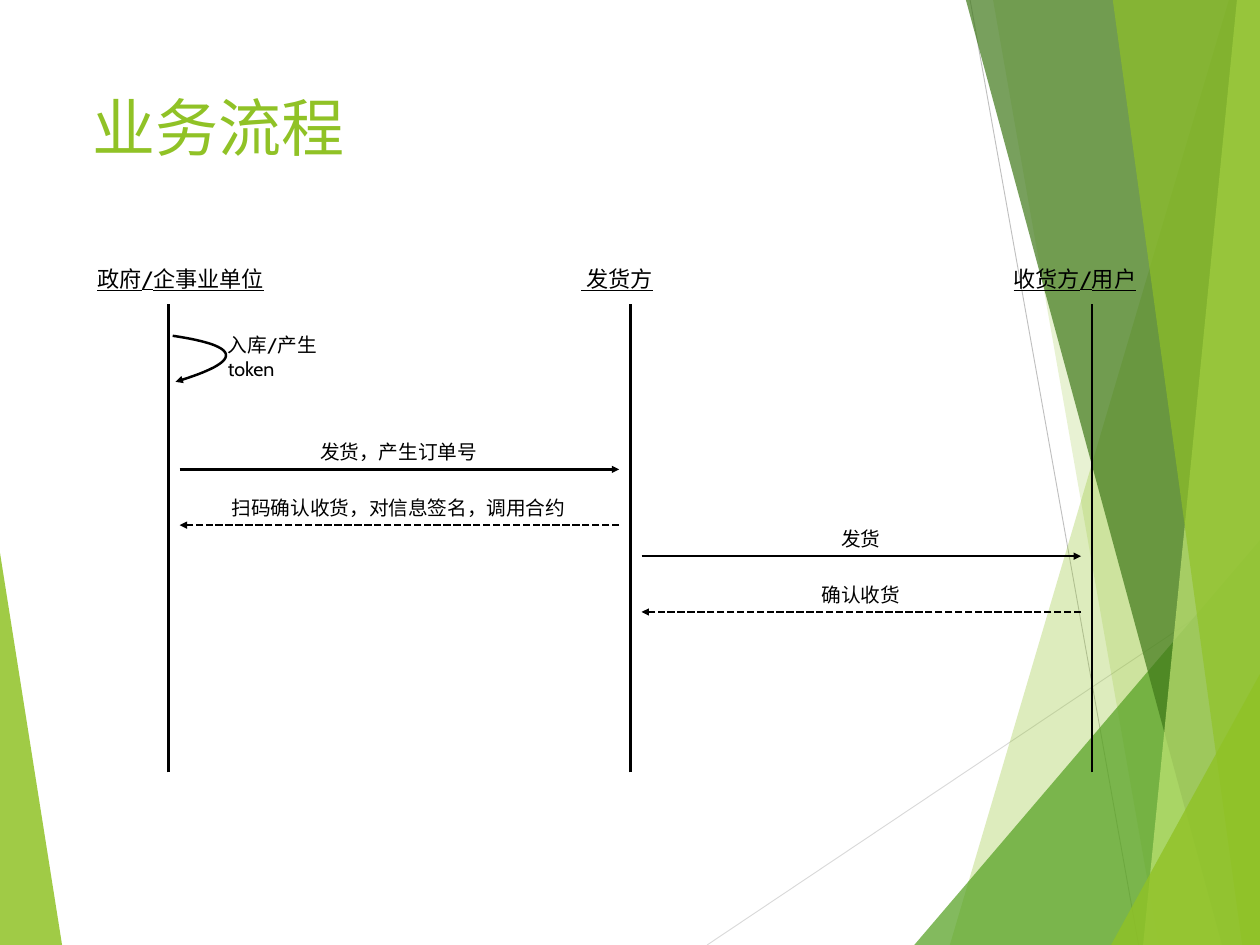
from dataclasses import dataclass

import lxml.etree
import pptx
import pptx.dml.color
import pptx.enum.dml
import pptx.enum.shapes
import pptx.enum.text
import pptx.oxml.ns
import pptx.util
from pptx.util import Cm

FONT = "Cabin"
BLACK = "000000"
LIME = "90C226"
WIDTH, HEIGHT = 36.12, 27.1
LIFELINE_LEFT, LIFELINE_PITCH = 4.83, 13.24
LIFELINE_TOP, LIFELINE_BOTTOM = 8.71, 22.15
MESSAGE_GAP = 0.32
LABEL_HEIGHT = 1.02

Point = tuple[float, float]


@dataclass
class Facet:
    points: list[Point]
    color: str
    opacity: int


@dataclass
class Participant:
    name: str
    left: float
    width: float
    wrap: bool = False


@dataclass
class Message:
    text: str
    sender: int
    receiver: int
    y: float
    label_width: float


def right_band(top: float, bottom: float) -> list[Point]:
    """Outline from a slanted left edge to the right side of the slide."""
    return [(top, 0), (bottom, HEIGHT), (WIDTH, HEIGHT), (WIDTH, 0)]


def right_corner(bottom: float, right: float) -> list[Point]:
    """Triangle in the lower right corner of the slide."""
    return [(bottom, HEIGHT), (WIDTH, right), (WIDTH, HEIGHT)]


FACETS = [
    Facet([(0, 15.85), (1.78, HEIGHT), (0, HEIGHT)], LIME, 85),
    Facet(right_band(35.23, 27.23), LIME, 30),
    Facet(right_band(28.47, 33.22), LIME, 20),
    Facet(right_corner(26.21, 15.49), "54A021", 72),
    Facet(right_band(27.69, 35.03), "3F7819", 70),
    Facet(right_band(35.46, 32.77), "C0E474", 70),
    Facet(right_band(31.9, 35.61), LIME, 65),
    Facet(right_corner(31.85, 19.33), LIME, 80),
]
PARTICIPANTS = [
    Participant("政府/企事业单位", 2.64, 6.65, True),
    Participant(" 发货方", 16.51, 3.07),
    Participant("收货方/用户", 28.91, 4.8),
]
MESSAGES = [
    Message("发货，产生订单号", 0, 1, 13.46, 4.85),
    Message("扫码确认收货，对信息签名，调用合约", 1, 0, 15.06, 9.91),
    Message("发货", 1, 2, 15.95, 1.45),
    Message("确认收货", 2, 1, 17.55, 2.57),
]
STORAGE_CURVE = [(4.95, 9.63), (6.96, 9.93), (6.99, 10.36), (5.03, 10.95)]


def rgb(color: str) -> pptx.dml.color.RGBColor:
    return pptx.dml.color.RGBColor.from_string(color)


def add_child(parent, tag: str, **attributes: str) -> None:
    lxml.etree.SubElement(parent, pptx.oxml.ns.qn(tag), attributes)


def add_arrowhead(shape) -> None:
    add_child(shape.get_or_add_ln(), "a:tailEnd", type="triangle")


def add_outline(slide, points: list[Point], close: bool):
    start, *others = [(Cm(x), Cm(y)) for x, y in points]
    builder = slide.shapes.build_freeform(*start)
    builder.add_line_segments(others, close=close)
    shape = builder.convert_to_shape()
    shape.shadow.inherit = False
    return shape


def add_facet(slide, facet: Facet) -> None:
    shape = add_outline(slide, facet.points, True)
    shape.line.fill.background()
    shape.fill.solid()
    shape.fill.fore_color.rgb = rgb(facet.color)
    color = next(shape.element.spPr.iter(pptx.oxml.ns.qn("a:srgbClr")))
    add_child(color, "a:alpha", val=str(facet.opacity * 1000))


def add_line(slide, start: Point, end: Point, color: str = BLACK,
             weight: float = 2, dashed: bool = False, arrow: bool = False) -> None:
    connector = slide.shapes.add_connector(
        pptx.enum.shapes.MSO_CONNECTOR.STRAIGHT,
        *(Cm(value) for value in (*start, *end)))
    connector.line.color.rgb = rgb(color)
    connector.line.width = pptx.util.Pt(weight)
    if dashed:
        connector.line.dash_style = pptx.enum.dml.MSO_LINE.SQUARE_DOT
    if arrow:
        add_arrowhead(connector)
    add_child(connector.element.spPr, "a:effectLst")


def add_label(slide, text: str, left: float, top: float, width: float,
              height: float, size: float = 16, wrap: bool = False,
              underline: bool = False) -> None:
    box = slide.shapes.add_textbox(Cm(left), Cm(top), Cm(width), Cm(height))
    frame = box.text_frame
    frame.word_wrap = wrap
    frame.vertical_anchor = pptx.enum.text.MSO_ANCHOR.MIDDLE
    frame.margin_left = frame.margin_right = Cm(0.15)
    frame.margin_top = frame.margin_bottom = Cm(0.15)
    frame.text = text
    font = frame.paragraphs[0].font
    font.name = FONT
    font.size = pptx.util.Pt(size)
    font.color.rgb = rgb(BLACK)
    if underline:
        font.underline = True


def lifeline_x(index: int) -> float:
    return LIFELINE_LEFT + index * LIFELINE_PITCH


def add_message(slide, message: Message) -> None:
    sender, receiver = lifeline_x(message.sender), lifeline_x(message.receiver)
    is_reply = sender > receiver
    gap = -MESSAGE_GAP if is_reply else MESSAGE_GAP
    add_line(slide, (sender + gap, message.y), (receiver - gap, message.y),
             dashed=is_reply, arrow=True)
    left = (sender + receiver - message.label_width) / 2
    add_label(slide, message.text, left, message.y - LABEL_HEIGHT,
              message.label_width, LABEL_HEIGHT)


def bezier(controls: list[Point], steps: int = 32) -> list[Point]:
    """Points along a cubic curve."""
    points = []
    for step in range(steps + 1):
        t = step / steps
        weights = ((1 - t) ** 3, 3 * t * (1 - t) ** 2, 3 * t ** 2 * (1 - t), t ** 3)
        points.append(tuple(sum(weight * control[axis] for weight, control
                                in zip(weights, controls)) for axis in (0, 1)))
    return points


def add_storage_step(slide) -> None:
    loop = add_outline(slide, bezier(STORAGE_CURVE), False)
    loop.fill.background()
    loop.line.color.rgb = rgb(BLACK)
    loop.line.width = pptx.util.Pt(2)
    add_arrowhead(loop)
    add_label(slide, "入库/产生token", 6.38, 9.75, 4.11, 0.97, wrap=True)


def format_title(slide) -> None:
    title = slide.shapes.title
    title.left, title.top, title.width, title.height = (
        Cm(2.41), Cm(2.41), Cm(25.07), Cm(5.21))
    frame = title.text_frame
    frame.text = "业务流程"
    frame.vertical_anchor = pptx.enum.text.MSO_ANCHOR.TOP
    paragraph = frame.paragraphs[0]
    paragraph.alignment = pptx.enum.text.PP_ALIGN.LEFT
    paragraph.font.name = FONT
    paragraph.font.size = pptx.util.Pt(51.2)
    paragraph.font.color.rgb = rgb(LIME)


def main() -> None:
    presentation = pptx.Presentation()
    presentation.slide_width, presentation.slide_height = Cm(WIDTH), Cm(HEIGHT)
    slide = presentation.slides.add_slide(presentation.slide_layouts[5])
    format_title(slide)
    add_line(slide, (20.27, HEIGHT), (WIDTH, 16.48), "D9D9D9", 0.75)
    add_line(slide, (27.81, 0), (32.64, HEIGHT), "BFBFBF", 0.75)
    for facet in FACETS:
        add_facet(slide, facet)
    for index, participant in enumerate(PARTICIPANTS):
        add_label(slide, participant.name, participant.left, 7.32,
                  participant.width, 1.32, 18, participant.wrap, True)
        x = lifeline_x(index)
        add_line(slide, (x, LIFELINE_BOTTOM), (x, LIFELINE_TOP))
    add_storage_step(slide)
    for message in MESSAGES:
        add_message(slide, message)
    presentation.save("out.pptx")


if __name__ == "__main__":
    main()
